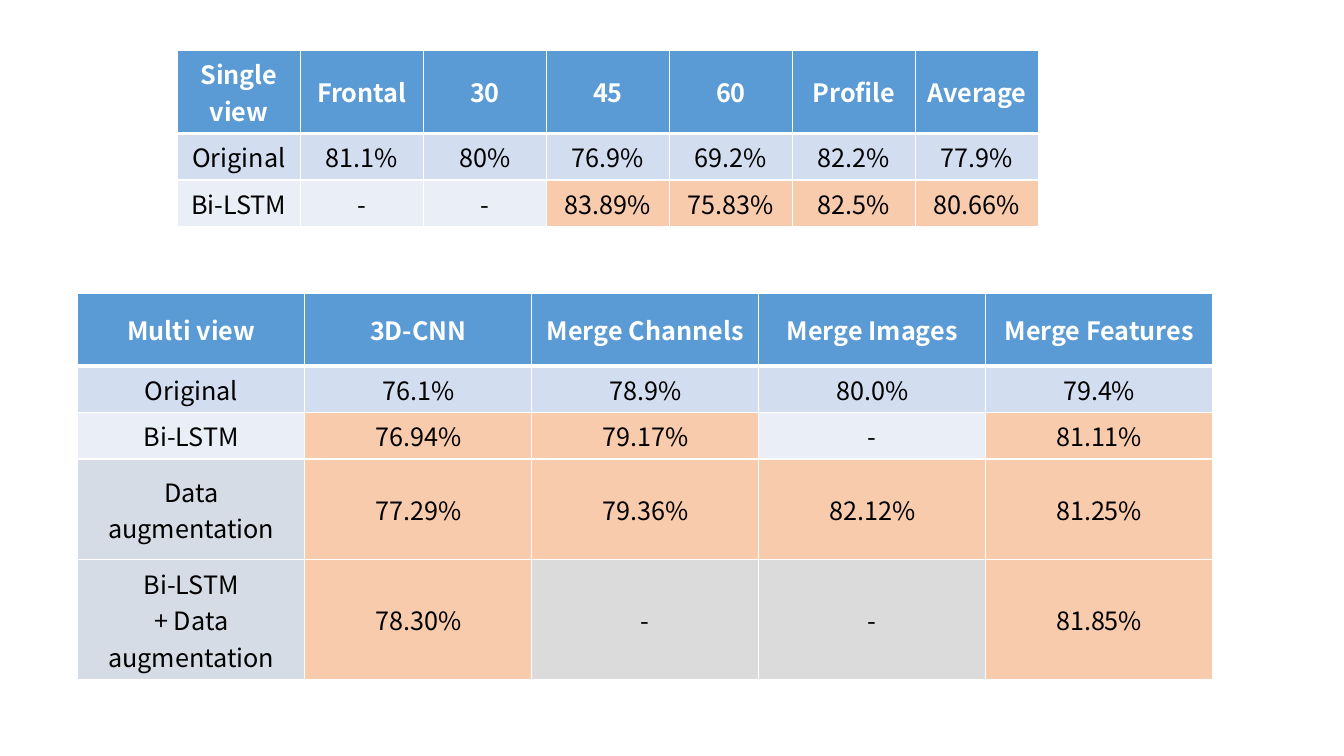
from lxml.etree import SubElement
from pptx import Presentation
from pptx.dml.color import RGBColor
from pptx.enum.text import MSO_ANCHOR, PP_ALIGN
from pptx.oxml.ns import qn
from pptx.util import Cm, Pt

FONT = "Noto Sans CJK KR"
WHITE = RGBColor(0xFF, 0xFF, 0xFF)
BLACK = RGBColor(0x00, 0x00, 0x00)
BLUE = RGBColor(0x5B, 0x9B, 0xD5)
PALE = RGBColor(0xD2, 0xDE, 0xEF)
LIGHT = RGBColor(0xEA, 0xEF, 0xF7)
SLATE = RGBColor(0xD6, 0xDC, 0xE5)
GRAY = RGBColor(0xDB, 0xDB, 0xDB)
PEACH = RGBColor(0xF8, 0xCB, 0xAD)

SINGLE = [
    ["Single view", "Frontal", "30", "45", "60", "Profile", "Average"],
    ["Original", "81.1%", "80%", "76.9%", "69.2%", "82.2%", "77.9%"],
    ["Bi-LSTM", "-", "-", "83.89%", "75.83%", "82.5%", "80.66%"],
]
MULTI = [
    ["Multi view", "3D-CNN", "Merge Channels", "Merge Images", "Merge Features"],
    ["Original", "76.1%", "78.9%", "80.0%", "79.4%"],
    ["Bi-LSTM", "76.94%", "79.17%", "-", "81.11%"],
    ["Data augmentation", "77.29%", "79.36%", "82.12%", "81.25%"],
    ["Bi-LSTM\n+ Data augmentation", "78.30%", "-", "-", "81.85%"],
]


def pick_fill(row, text):
    """Return the fill of a cell from its row and its text."""
    if row < 2:
        return (BLUE, PALE)[row]
    if text.endswith("%"):
        return PEACH
    if row == 2:
        return LIGHT
    return GRAY if text == "-" else SLATE


def set_lines(cell, head):
    """Draw white borders round a cell, thick below the header."""
    props = cell._tc.get_or_add_tcPr()
    for place, side in enumerate(("lnL", "lnR", "lnT", "lnB")):
        thick = side == "lnB" and head
        line = SubElement(props, qn(f"a:{side}"), w=str(Pt(3 if thick else 1)))
        fill = SubElement(line, qn("a:solidFill"))
        SubElement(fill, qn("a:srgbClr"), val=str(WHITE))
        props.insert(place, line)


def fill_cell(cell, row, text):
    """Write and style one cell."""
    head = row == 0
    cell.text_frame.text = text
    cell.vertical_anchor = MSO_ANCHOR.MIDDLE
    cell.fill.solid()
    cell.fill.fore_color.rgb = pick_fill(row, text)
    set_lines(cell, head)
    for para in cell.text_frame.paragraphs:
        para.alignment = PP_ALIGN.CENTER
        for run in para.runs:
            run.font.name = FONT
            run.font.size = Pt(18)
            run.font.bold = head
            run.font.color.rgb = WHITE if head else BLACK


def add_grid(slide, data, left, top, width, heights):
    """Add a table with equal columns and the given row heights."""
    count = len(data[0])
    frame = slide.shapes.add_table(
        len(data), count, Cm(left), Cm(top), Cm(width * count), Cm(sum(heights))
    )
    table = frame.table
    for col in table.columns:
        col.width = Cm(width)
    for row, (texts, height) in enumerate(zip(data, heights)):
        table.rows[row].height = Cm(height)
        for col, text in enumerate(texts):
            fill_cell(table.cell(row, col), row, text)


def main():
    """Build the slide with both result tables."""
    deck = Presentation()
    deck.slide_width, deck.slide_height = Cm(33.87), Cm(19.05)
    slide = deck.slides.add_slide(deck.slide_layouts[6])
    add_grid(slide, SINGLE, 4.47, 1.27, 3.1, [1.03] * 3)
    add_grid(slide, MULTI, 1.96, 7.39, 5.72, [1.83, 1.03, 1.03, 2.54, 2.54])
    deck.save("out.pptx")


if __name__ == "__main__":
    main()
